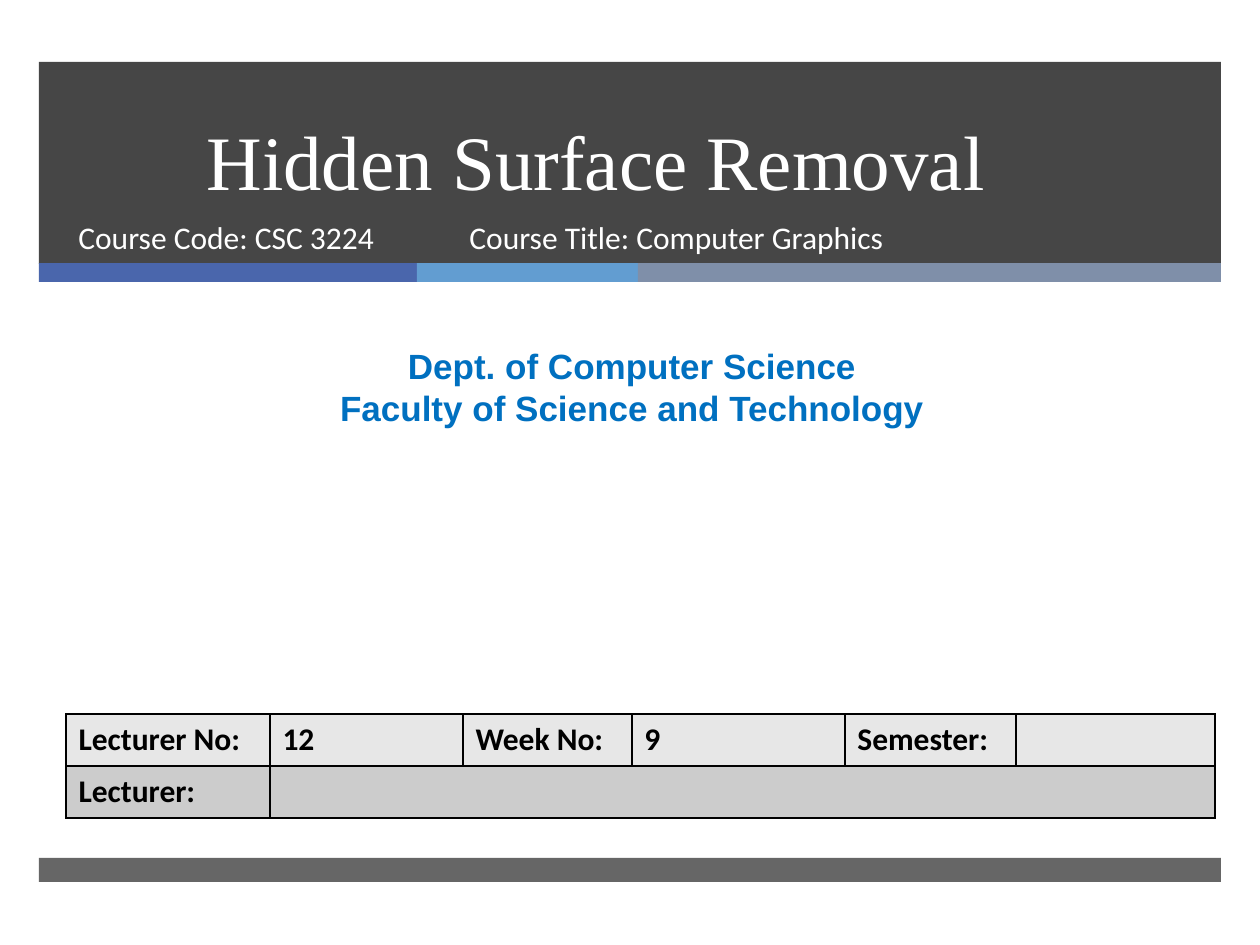
from lxml import etree
from pptx import Presentation, util as u
from pptx.dml.color import RGBColor
from pptx.enum import shapes, text
from pptx.oxml import ns

PX = 914400 / 126  # EMU per px

COLORS = {
    "ink": "262626", "blue": "4A66AC", "sky": "629DD1", "slate": "7F8FA9",
    "white": "FFFFFF", "black": "000000", "heading": "0070C0",
    "light": "E7E7E7", "grey": "CCCCCC",
}

# left, top, width, height, colour, opacity in percent
BANDS = [
    (39, 62, 1182, 202, "ink", 85),
    (39, 263, 378, 19, "blue", 100),
    (417, 263, 221, 19, "sky", 100),
    (638, 263, 583, 19, "slate", 100),
    (39, 858, 1182, 24, "ink", 70),
]

# place, lines, font, size, colour, bold, centred, anchored at bottom
TEXTS = [
    ((58, 62, 1076, 150), ["Hidden Surface Removal"],
     "Times New Roman", 44, "white", False, True, True),
    ((66, 212, 384, 66), ["Course Code: CSC 3224"],
     "Calibri", 18, "white", False, False, False),
    ((457, 212, 573, 66), ["Course Title: Computer Graphics"],
     "Calibri", 18, "white", False, False, False),
    ((10, 338, 1244, 97),
     ["Dept. of Computer Science", "Faculty of Science and Technology"],
     "Arial", 20, "heading", True, True, False),
]

TABLE_LEFT, TABLE_TOP, ROW_HEIGHT = 66, 714, 52
COLUMNS = [204, 193, 169, 213, 171, 199]
ROWS = [
    ("light", ["Lecturer No:", "12", "Week No:", "9", "Semester:", ""]),
    ("grey", ["Lecturer:", "", "", "", "", ""]),
]


def px(*values):
    return [u.Emu(round(value * PX)) for value in values]


def color(name):
    return RGBColor.from_string(COLORS[name])


def add_span(para, words, font, size, tint, bold):
    span = para.add_run()
    span.text = words
    span.font.name, span.font.size, span.font.bold = font, u.Pt(size), bold
    span.font.color.rgb = color(tint)
    return span


def add_band(slide, left, top, width, height, tint, opacity):
    band = slide.shapes.add_shape(shapes.MSO_SHAPE.RECTANGLE, *px(left, top, width, height))
    band.shadow.inherit = False
    band.line.fill.background()
    band.fill.solid()
    band.fill.fore_color.rgb = color(tint)
    if opacity < 100:
        fill = band.fill._xPr.find(ns.qn("a:solidFill"))
        etree.SubElement(fill[0], ns.qn("a:alpha"), val=str(opacity * 1000))


def add_text(slide, place, lines, font, size, tint, bold, centred, bottom):
    frame = slide.shapes.add_textbox(*px(*place)).text_frame
    frame.word_wrap = True
    frame.vertical_anchor = text.MSO_ANCHOR.BOTTOM if bottom else text.MSO_ANCHOR.TOP
    for index, words in enumerate(lines):
        para = frame.add_paragraph() if index else frame.paragraphs[0]
        para.alignment = text.PP_ALIGN.CENTER if centred else text.PP_ALIGN.LEFT
        if len(lines) > 1:
            para.line_spacing = u.Pt(size * 1.2)
        add_span(para, words, font, size, tint, bold)


def style_cell(cell, fill):
    # Borders come before the fill in the cell properties
    props = cell._tc.get_or_add_tcPr()
    for side in ("lnL", "lnR", "lnT", "lnB"):
        line = etree.SubElement(props, ns.qn("a:" + side), w=str(u.Pt(1)))
        solid = etree.SubElement(line, ns.qn("a:solidFill"))
        etree.SubElement(solid, ns.qn("a:srgbClr"), val=COLORS["black"])
    cell.fill.solid()
    cell.fill.fore_color.rgb = color(fill)


def add_details(slide):
    place = px(TABLE_LEFT, TABLE_TOP, sum(COLUMNS), ROW_HEIGHT * len(ROWS))
    table = slide.shapes.add_table(len(ROWS), len(COLUMNS), *place).table
    for column, width in zip(table.columns, px(*COLUMNS)):
        column.width = width
    for r, (fill, labels) in enumerate(ROWS):
        table.rows[r].height = px(ROW_HEIGHT)[0]
        for c, label in enumerate(labels):
            cell = table.cell(r, c)
            style_cell(cell, fill)
            if label:
                add_span(cell.text_frame.paragraphs[0], label, "Calibri", 18, "black", True)
    table.cell(1, 1).merge(table.cell(1, len(COLUMNS) - 1))


def main():
    deck = Presentation()
    deck.slide_width, deck.slide_height = px(1260, 945)
    slide = deck.slides.add_slide(deck.slide_layouts[6])
    for band in BANDS:
        add_band(slide, *band)
    for item in TEXTS:
        add_text(slide, *item)
    add_details(slide)
    deck.save("out.pptx")


if __name__ == "__main__":
    main()
